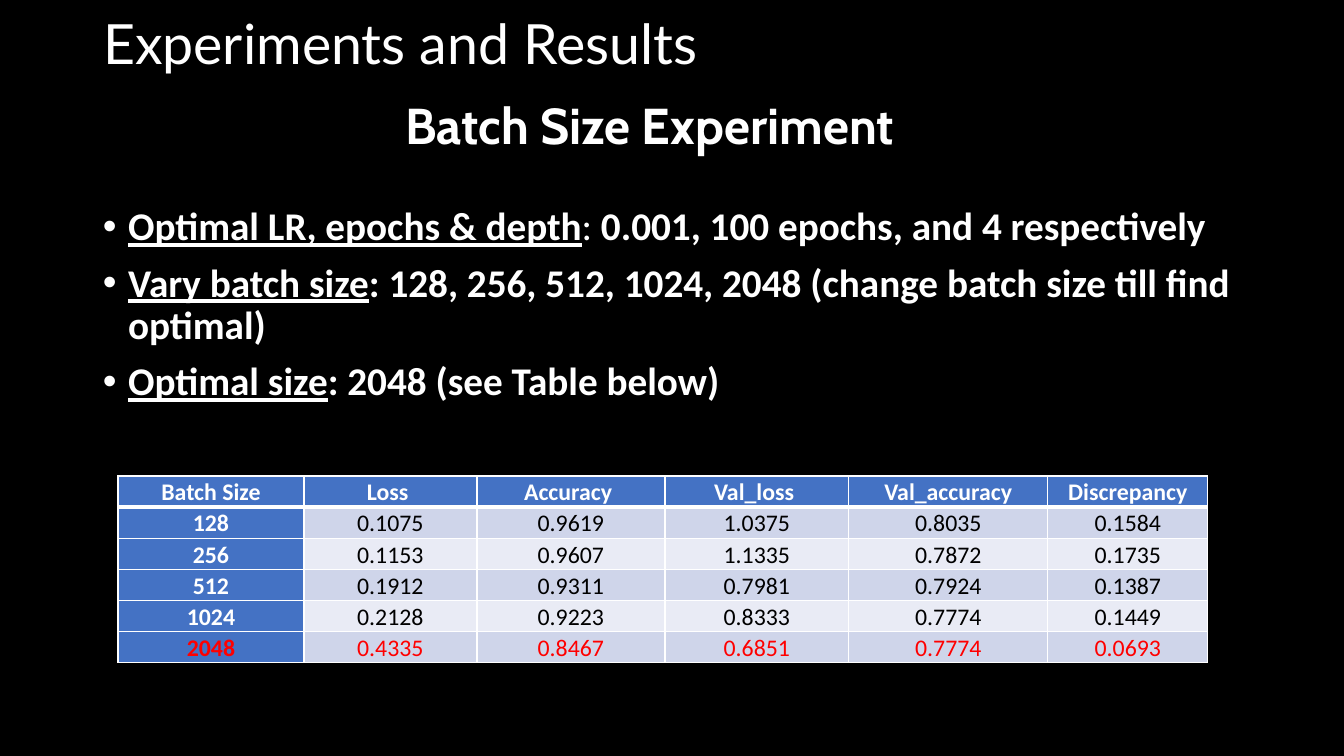
from dataclasses import dataclass, field
from typing import Any

from lxml import etree
from pptx import Presentation
from pptx import util as u
from pptx.dml.color import RGBColor
from pptx.enum import text
from pptx.oxml import ns

PX = u.Inches(7.5) / 756
BLACK = RGBColor(0x00, 0x00, 0x00)
WHITE = RGBColor(0xFF, 0xFF, 0xFF)
RED = RGBColor(0xFF, 0x00, 0x00)
BLUE = RGBColor(0x44, 0x72, 0xC4)
DARK_BAND = RGBColor(0xCF, 0xD5, 0xEA)
LIGHT_BAND = RGBColor(0xE9, 0xEB, 0xF5)

CENTERED = {"alignment": text.PP_ALIGN.CENTER, "line_spacing": 0.9}
BULLETED = {"line_spacing": 0.9, "space_before": u.Pt(10)}
TABULAR = {"alignment": text.PP_ALIGN.CENTER, "line_spacing": 1.07, "space_after": u.Pt(8)}


@dataclass(frozen=True)
class Run:
    wording: str
    size: float = 28
    font: str = "Calibri"
    color: RGBColor = WHITE
    bold: bool = True
    underline: bool = False


@dataclass(frozen=True)
class Line:
    runs: list[Run]
    layout: dict[str, Any] = field(default_factory=dict)
    bullet: bool = False


@dataclass(frozen=True)
class Box:
    left: int
    top: int
    width: int
    height: int
    anchor: text.MSO_ANCHOR
    lines: list[Line]


TITLE = Box(93, 17, 1159, 50, text.MSO_ANCHOR.MIDDLE, [
    Line([Run("Experiments and Results", 39.6, "Lato", bold=False)],
         {"alignment": text.PP_ALIGN.LEFT})])
FINDINGS = Box(93, 202, 1159, 229, text.MSO_ANCHOR.TOP, [
    Line(runs, BULLETED, bullet=True) for runs in (
        [Run("Optimal LR, epochs & depth", underline=True), Run(": ", bold=False),
         Run("0.001, 100 epochs, and 4 respectively")],
        [Run("Vary batch size", underline=True),
         Run(": 128, 256, 512, 1024, 2048 (change batch size till find optimal)")],
        [Run("Optimal size", underline=True), Run(": 2048 (see Table below)")],
    )])
HEADING = Box(70, 55, 1159, 146, text.MSO_ANCHOR.MIDDLE, [
    Line([Run("Batch Size Experiment", 36, "Cabin")], CENTERED)])

COLUMN_WIDTHS = [186, 173, 188, 184, 199, 160]
ROW_HEIGHT = 28
RESULTS = [
    ["Batch Size", "Loss ", "Accuracy ", "Val_loss ", "Val_accuracy", "Discrepancy"],
    ["128", "0.1075", "0.9619", "1.0375", "0.8035", "0.1584"],
    ["256", "0.1153", "0.9607", "1.1335", "0.7872", "0.1735"],
    ["512", "0.1912", "0.9311", "0.7981", "0.7924", "0.1387"],
    ["1024", "0.2128", "0.9223", "0.8333", "0.7774", "0.1449"],
    ["2048", "0.4335", "0.8467", "0.6851", "0.7774", "0.0693"],
]


def px(length: int) -> u.Emu:
    return u.Emu(round(length * PX))


def apply(target: Any, values: dict[str, Any]) -> None:
    for name, value in values.items():
        setattr(target, name, value)


def add_bullet(paragraph: Any) -> None:
    properties = paragraph._p.get_or_add_pPr()
    properties.set("marL", str(u.Inches(0.25)))
    properties.set("indent", str(-u.Inches(0.25)))
    etree.SubElement(properties, ns.qn("a:buFont"), typeface="Arial")
    etree.SubElement(properties, ns.qn("a:buChar"), char="•")


def write_lines(frame: Any, lines: list[Line]) -> None:
    for index, line in enumerate(lines):
        paragraph = frame.add_paragraph() if index else frame.paragraphs[0]
        apply(paragraph, line.layout)
        if line.bullet:
            add_bullet(paragraph)
        for part in line.runs:
            run = paragraph.add_run()
            run.text = part.wording
            apply(run.font, {"size": u.Pt(part.size), "name": part.font,
                             "bold": part.bold, "underline": part.underline})
            run.font.color.rgb = part.color


def fill_box(shape: Any, box: Box) -> None:
    apply(shape, {name: px(getattr(box, name)) for name in ("left", "top", "width", "height")})
    apply(shape.text_frame, {"word_wrap": True, "auto_size": text.MSO_AUTO_SIZE.NONE,
                             "vertical_anchor": box.anchor})
    write_lines(shape.text_frame, box.lines)


def add_borders(cell: Any, widths: dict[str, int]) -> None:
    properties = cell._tc.get_or_add_tcPr()
    for side, width in widths.items():
        border = etree.SubElement(properties, ns.qn(f"a:ln{side}"), w=str(u.Pt(width)))
        paint = etree.SubElement(border, ns.qn("a:solidFill"))
        etree.SubElement(paint, ns.qn("a:srgbClr"), val=str(WHITE))


def add_results(slide: Any, left: int, top: int) -> None:
    table = slide.shapes.add_table(
        len(RESULTS), len(COLUMN_WIDTHS), px(left), px(top),
        px(sum(COLUMN_WIDTHS)), px(ROW_HEIGHT * len(RESULTS))).table
    for column, width in zip(table.columns, COLUMN_WIDTHS):
        column.width = px(width)
    for r, values in enumerate(RESULTS):
        table.rows[r].height = px(ROW_HEIGHT)
        for c, value in enumerate(values):
            cell = table.cell(r, c)
            is_label = r == 0 or c == 0
            is_optimal = r == len(RESULTS) - 1
            apply(cell, {"margin_left": px(12), "margin_right": px(12),
                         "margin_top": 0, "margin_bottom": 0})
            add_borders(cell, {"L": 1, "R": 1, "T": 3 if r == 1 else 1, "B": 3 if r == 0 else 1})
            cell.fill.solid()
            cell.fill.fore_color.rgb = BLUE if is_label else DARK_BAND if r % 2 else LIGHT_BAND
            color = RED if is_optimal else WHITE if is_label else BLACK
            write_lines(cell.text_frame,
                        [Line([Run(value, 17, color=color, bold=is_label)], TABULAR)])


def main() -> None:
    deck = Presentation()
    apply(deck, {"slide_width": px(1344), "slide_height": px(756)})
    slide = deck.slides.add_slide(deck.slide_layouts[5])
    slide.background.fill.solid()
    slide.background.fill.fore_color.rgb = BLACK
    fill_box(slide.shapes.title, TITLE)
    for box in (FINDINGS, HEADING):
        fill_box(slide.shapes.add_textbox(0, 0, 0, 0), box)
    add_results(slide, 118, 476)
    deck.save("out.pptx")


if __name__ == "__main__":
    main()
